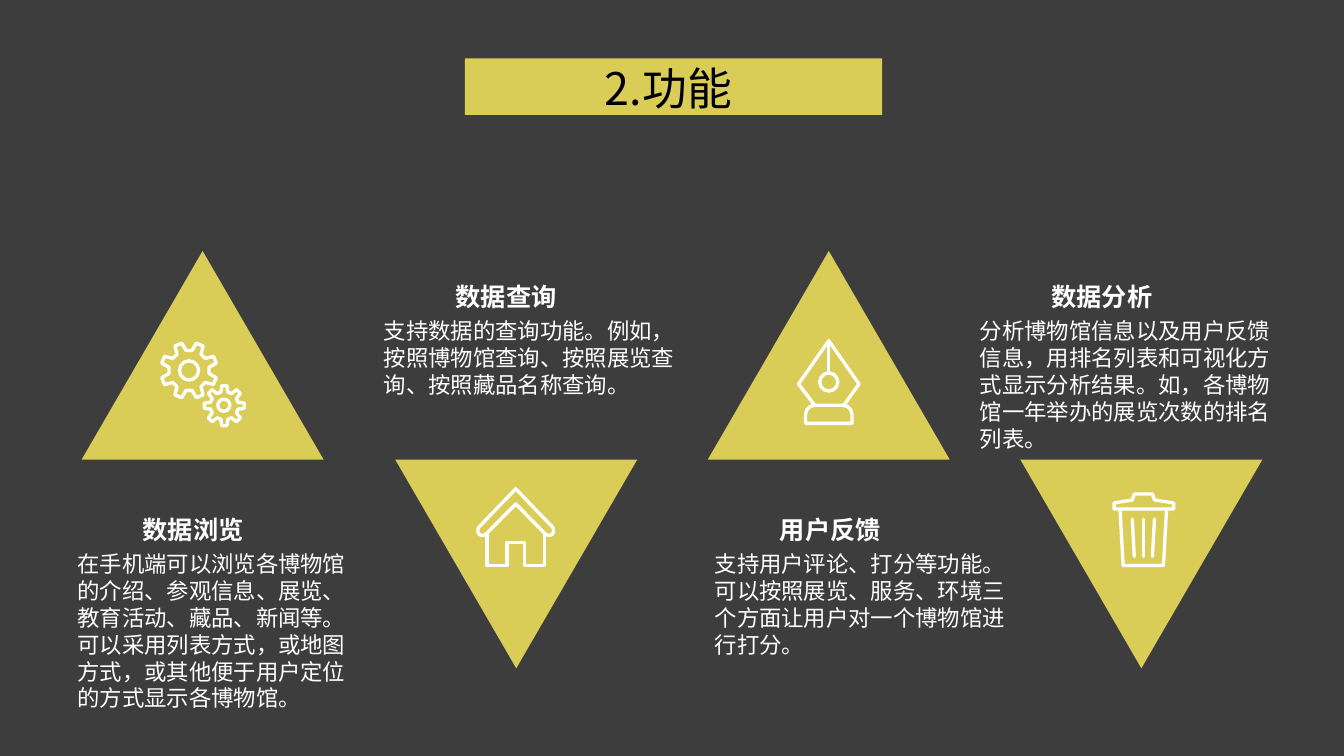
from math import cos, radians, sin

from lxml import etree
from pptx import Presentation
from pptx.dml.color import RGBColor
from pptx.enum.shapes import MSO_CONNECTOR, MSO_SHAPE
from pptx.enum.text import MSO_ANCHOR, MSO_AUTO_SIZE, PP_ALIGN
from pptx.oxml.ns import qn
from pptx.util import Pt

PX = 9144  # 100 px to the inch
RECT, TRIANGLE, OVAL = MSO_SHAPE.RECTANGLE, MSO_SHAPE.ISOSCELES_TRIANGLE, MSO_SHAPE.OVAL
ROUND_TOP, STRAIGHT = MSO_SHAPE.ROUND_2_SAME_RECTANGLE, MSO_CONNECTOR.STRAIGHT
LEFT, CENTER = PP_ALIGN.LEFT, PP_ALIGN.CENTER
MIDDLE, TOP, GROW = MSO_ANCHOR.MIDDLE, MSO_ANCHOR.TOP, MSO_AUTO_SIZE.SHAPE_TO_FIT_TEXT

THEME = {
    "back": RGBColor.from_string("3D3D3D"),
    "accent": RGBColor.from_string("DACD57"),
    "light": RGBColor.from_string("FFFFFF"),
    "dark": RGBColor.from_string("000000"),
    "font": "Noto Sans CJK SC",
    "title": 32, "head": 18, "body": 16, "stroke": 2.38, "leading": 1.2,
}


def write(s, text, size, color, bold=False, align=LEFT, anchor=TOP):
    """Fill a text shape with one formatted paragraph."""
    tf = s.text_frame
    for name, value in {"word_wrap": True, "auto_size": GROW, "vertical_anchor": anchor}.items():
        setattr(tf, name, value)
    p = tf.paragraphs[0]
    p.alignment, p.line_spacing = align, Pt(THEME[size] * THEME["leading"])
    r = p.add_run()
    r.text = text
    for name, value in {"size": Pt(THEME[size]), "bold": bold, "name": THEME["font"]}.items():
        setattr(r.font, name, value)
    r.font.color.rgb = THEME[color]
    etree.SubElement(r.font._element, qn("a:ea"), typeface=THEME["font"])


def draw(grp, kind, *data):
    """Add one white outline to an icon group."""
    if kind == "line":
        s = grp.shapes.add_connector(STRAIGHT, *(v * PX for v in data))
    elif kind in ("open", "closed"):
        pts = [(x * PX, y * PX) for x, y in data]
        fb = grp.shapes.build_freeform(*pts[0], scale=1.0)
        fb.add_line_segments(pts[1:], close=kind == "closed")
        s = fb.convert_to_shape()
    else:
        s = grp.shapes.add_shape(kind, *(v * PX for v in data))
        if kind == ROUND_TOP:
            s.adjustments[0] = 0.5
    if kind != "line":
        s.fill.background()
    s.line.color.rgb = THEME["light"]
    s.line.width = Pt(THEME["stroke"])
    ln = s._element.spPr.find(qn("a:ln"))
    ln.set("cap", "rnd")
    etree.SubElement(ln, qn("a:round"))
    etree.SubElement(s._element.spPr, qn("a:effectLst"))


prs = Presentation()
prs.slide_width, prs.slide_height = 1333 * PX, 750 * PX
slide = prs.slides.add_slide(prs.slide_layouts[5])
shapes = slide.shapes
slide.background.fill.solid()
slide.background.fill.fore_color.rgb = THEME["back"]

# Title band and the four triangles
blocks = [(RECT, 461, 58, 414, 56, 0)]
for i, x in enumerate((81, 392, 702, 1012)):
    blocks.append((TRIANGLE, x, 456 if i % 2 else 249, 240, 207, 180 * (i % 2)))
for kind, x, y, w, h, turn in blocks:
    s = shapes.add_shape(kind, x * PX, y * PX, w * PX, h * PX)
    s.rotation = turn
    s.shadow.inherit = False
    s.fill.solid()
    s.fill.fore_color.rgb = THEME["accent"]
    s.line.fill.background()

# Title, raised above its band
title = shapes.title
title.left, title.top, title.width, title.height = (v * PX for v in (473, 55, 380, 64))
write(title, "2.功能", "title", "dark", align=CENTER, anchor=MIDDLE)
shapes._spTree.append(title._element)

# Gears: eight teeth, each with two root and two tip points
gears = shapes.add_group_shape()
for cx, cy, root, tip, hole, start in ((187.5, 367.5, 20, 28, 19, 22.5),
                                       (222.5, 402.5, 14, 20, 12, 0)):
    teeth = [(cx + rad * cos(radians(start + 45 * k + a)),
              cy + rad * sin(radians(start + 45 * k + a)))
             for k in range(8)
             for rad, a in ((root, -14), (tip, -7.5), (tip, 7.5), (root, 14))]
    draw(gears, "closed", *teeth)
    draw(gears, OVAL, round(cx - hole / 2), round(cy - hole / 2), hole, hole)

# House: the right half of the roof is mirrored
house = shapes.add_group_shape()
eave = [(541, 530), (543, 531), (546, 531), (548, 530), (549, 528), (549, 525), (548, 523)]
draw(house, "closed", (511.5, 500), *eave, (511.5, 485),
     *((1023 - x, y) for x, y in reversed(eave)))
draw(house, "open", (483, 529), (483, 561), (503, 561), (503, 538),
     (520, 538), (520, 561), (540, 561), (540, 529))

# Pen nib
nib = shapes.add_group_shape()
draw(nib, OVAL, 813, 370, 18, 18)
draw(nib, ROUND_TOP, 799, 402, 46, 18)
draw(nib, "open", (837, 402), (852, 381), (822, 338), (792, 381), (808, 402))
draw(nib, "line", 822, 338, 822, 370)

# Bin
can = shapes.add_group_shape()
draw(can, "open", (1157, 507), (1154, 561), (1114, 561), (1111, 507))
draw(can, "closed", (1164, 499), (1164, 505), (1105, 505), (1105, 499),
     (1123, 496), (1125, 490), (1143, 490), (1145, 496))
for top_x, bottom_x in ((1123, 1125), (1134, 1134), (1145, 1143)):
    draw(can, "line", top_x, 515, bottom_x, 552)

# Headings and descriptions
features = [
    (66, 505, 251, 307, 6, "数据浏览", "在手机端可以浏览各博物馆的介绍、参观信息、展览、教育活动、藏品、新闻等。"
     "可以采用列表方式，或地图方式，或其他便于用户定位的方式显示各博物馆。"),
    (370, 274, 264, 322, 3, "数据查询", "支持数据的查询功能。例如，按照博物馆查询、按照展览查询、按照藏品名称查询。"),
    (698, 505, 251, 321, 4, "用户反馈", "支持用户评论、打分等功能。可以按照展览、服务、环境三个方面让用户对一个博物馆进行打分。"),
    (961, 274, 264, 322, 5, "数据分析", "分析博物馆信息以及用户反馈信息，用排名列表和可视化方式显示分析结果。"
     "如，各博物馆一年举办的展览次数的排名列表。"),
]
for x, y, head_w, body_w, lines, head, body in features:
    s = shapes.add_textbox(x * PX, y * PX, head_w * PX, 40 * PX)
    write(s, head, "head", "light", bold=True, align=CENTER)
    s = shapes.add_textbox((x + 1) * PX, (y + 36) * PX, body_w * PX, (10 + 27 * lines) * PX)
    write(s, body, "body", "light")

prs.save("out.pptx")
